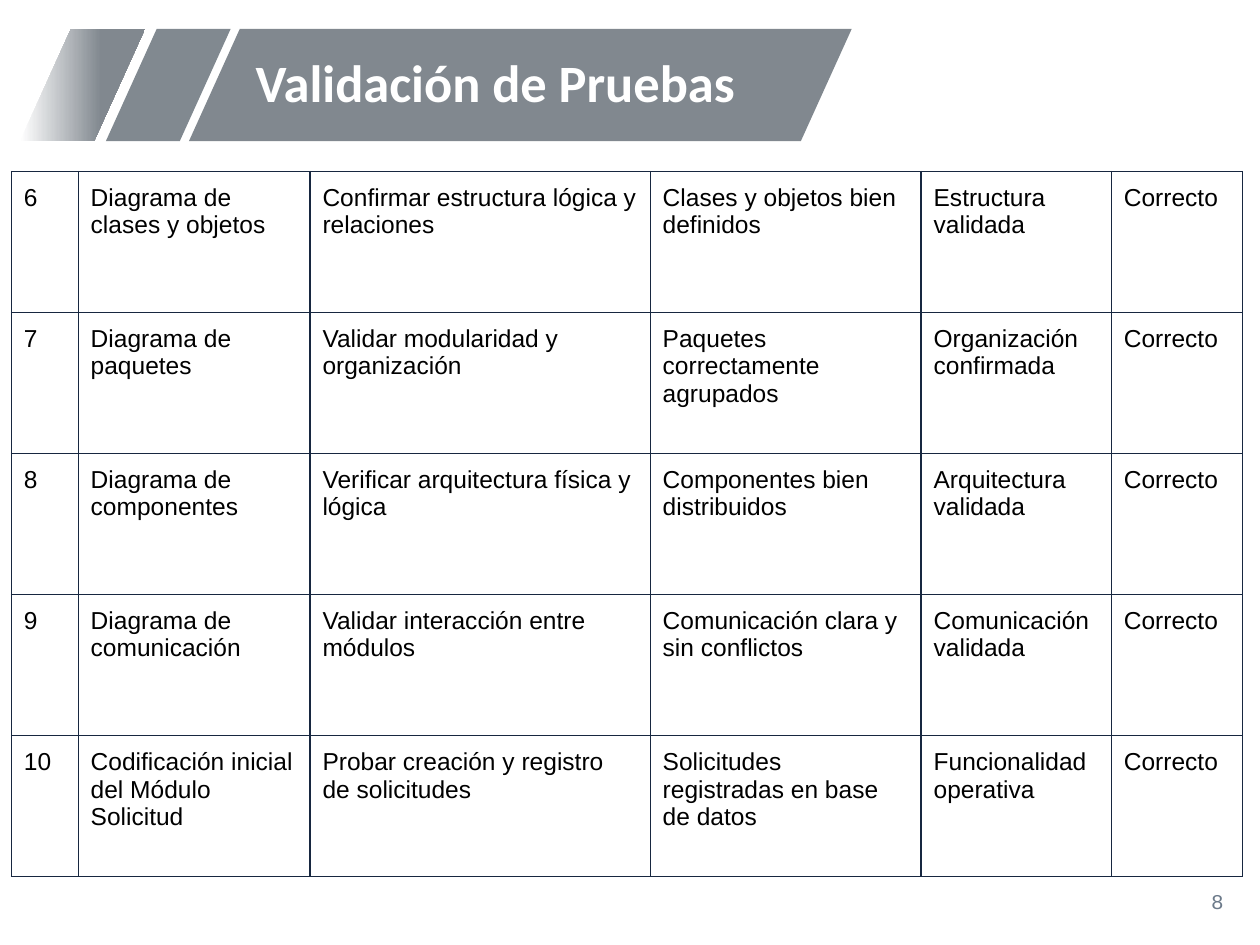
from lxml.etree import SubElement
from pptx import Presentation
from pptx.dml.color import RGBColor
from pptx.enum.shapes import MSO_SHAPE as Shape
from pptx.enum.text import MSO_ANCHOR as Anchor, PP_ALIGN as Align
from pptx.oxml.ns import qn
from pptx.util import Inches, Pt

WHITE = RGBColor(0xFF, 0xFF, 0xFF)
BLACK = RGBColor(0, 0, 0)
BANNER = RGBColor(0x81, 0x88, 0x8F)
STRIPE = RGBColor(0x81, 0x89, 0x90)
PAGE_GREY = RGBColor(0x6C, 0x7A, 0x8A)
BORDER = RGBColor(0x17, 0x27, 0x40)

BANNER_TOP, BANNER_HEIGHT = 0.23, 0.89
ROW_HEIGHT = 1.12
COLUMN_WIDTHS = [0.53, 1.84, 2.7, 2.15, 1.51, 1.04]
RESULT = "Correcto"
TESTS = [
    ("Diagrama de clases y objetos", "Confirmar estructura lógica y relaciones",
     "Clases y objetos bien definidos", "Estructura validada"),
    ("Diagrama de paquetes", "Validar modularidad y organización",
     "Paquetes correctamente agrupados", "Organización confirmada"),
    ("Diagrama de componentes", "Verificar arquitectura física y lógica",
     "Componentes bien distribuidos", "Arquitectura validada"),
    ("Diagrama de comunicación", "Validar interacción entre módulos",
     "Comunicación clara y sin conflictos", "Comunicación validada"),
    ("Codificación inicial del Módulo Solicitud", "Probar creación y registro de solicitudes",
     "Solicitudes registradas en base de datos", "Funcionalidad operativa"),
]


class SlideBuilder:
    def __init__(self, page):
        self.page = page

    def style(self, para, font, size, color, bold=False):
        for span in para.runs:
            span.font.name = font
            span.font.size = Pt(size)
            span.font.color.rgb = color
            span.font.bold = bold

    def stripe(self, left, width, color, fade=False):
        shape = self.page.shapes.add_shape(
            Shape.PARALLELOGRAM, Inches(left), Inches(BANNER_TOP),
            Inches(width), Inches(BANNER_HEIGHT))
        shape.adjustments[0] = 0.453
        shape.shadow.inherit = False
        shape.line.fill.background()
        if fade:
            shape.fill.gradient()
            shape.fill.gradient_angle = 0
            for stop, position, tint in zip(shape.fill.gradient_stops, (0, 0.65), (WHITE, color)):
                stop.position = position
                stop.color.rgb = tint
        else:
            shape.fill.solid()
            shape.fill.fore_color.rgb = color

    def text(self, left, top, width, height, words, font, size, color,
             bold=False, align=Align.LEFT, spacing=1.0):
        box = self.page.shapes.add_textbox(
            Inches(left), Inches(top), Inches(width), Inches(height))
        frame = box.text_frame
        frame.word_wrap = True
        frame.vertical_anchor = Anchor.MIDDLE
        frame.text = words
        para = frame.paragraphs[0]
        para.alignment = align
        para.line_spacing = spacing
        self.style(para, font, size, color, bold)

    def borders(self, cell):
        properties = cell._tc.get_or_add_tcPr()
        for position, side in enumerate(("a:lnL", "a:lnR", "a:lnT", "a:lnB")):
            line = SubElement(properties, qn(side), w=str(Pt(0.75)))
            fill = SubElement(line, qn("a:solidFill"))
            SubElement(fill, qn("a:srgbClr"), val=str(BORDER))
            properties.insert(position, line)

    def table(self, left, top, widths, row_height, rows):
        table = self.page.shapes.add_table(
            len(rows), len(widths), Inches(left), Inches(top),
            Inches(sum(widths)), Inches(row_height * len(rows))).table
        table.first_row = table.horz_banding = False
        for column, width in zip(table.columns, widths):
            column.width = Inches(width)
        for row, values in zip(table.rows, rows):
            row.height = Inches(row_height)
            for cell, value in zip(row.cells, values):
                cell.text = value
                cell.margin_left = cell.margin_right = Inches(0.1)
                cell.margin_top = cell.margin_bottom = Inches(0.1)
                cell.fill.background()
                self.borders(cell)
                self.style(cell.text_frame.paragraphs[0], "Arial", 14, BLACK)


def main():
    deck = Presentation()
    deck.slide_width, deck.slide_height = Inches(10), Inches(7.5)
    page = deck.slides.add_slide(deck.slide_layouts[6])
    page.background.fill.solid()
    page.background.fill.fore_color.rgb = WHITE
    builder = SlideBuilder(page)

    # Banner
    builder.stripe(1.5, 5.26, BANNER)
    builder.stripe(0.84, 0.99, STRIPE)
    builder.stripe(0.16, 0.99, BANNER, fade=True)

    # Page number and title
    builder.text(7.56, 6.95, 2.25, 0.4, "8", "Courier New", 12, PAGE_GREY, align=Align.RIGHT)
    builder.text(1.93, BANNER_TOP, 4.69, BANNER_HEIGHT, "Validación de Pruebas",
                 "Calibri", 30, WHITE, bold=True, spacing=0.9)

    # Test table, numbered from 6
    rows = [(str(number), *test, RESULT) for number, test in enumerate(TESTS, 6)]
    builder.table(0.09, 1.36, COLUMN_WIDTHS, ROW_HEIGHT, rows)

    deck.save("out.pptx")


if __name__ == "__main__":
    main()
